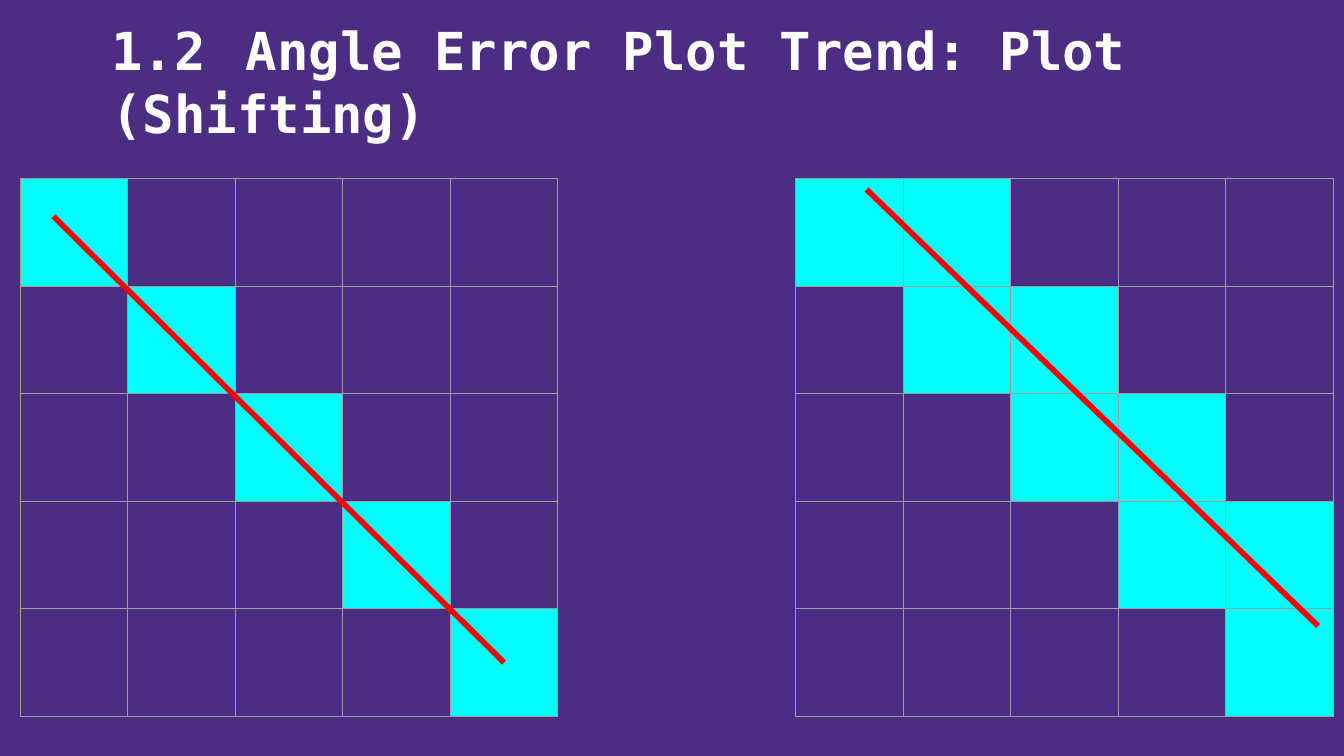
from dataclasses import dataclass

from lxml.etree import SubElement
from pptx import Presentation
from pptx.dml.color import RGBColor as Color
from pptx.enum.shapes import MSO_CONNECTOR as Connector
from pptx.enum.text import MSO_ANCHOR as Anchor, MSO_AUTO_SIZE as AutoSize, PP_ALIGN as Align
from pptx.oxml.ns import qn
from pptx.util import Inches, Pt


@dataclass(frozen=True)
class Theme:
    """Colours, type and line sizes of the slide."""

    background: str = "4B2E83"
    text: str = "FFFFFF"
    marked: str = "00FFFF"
    border: str = "9E9E9E"
    trend: str = "FF0000"
    font: str = "DejaVu Sans Mono"
    title_size: float = 28
    border_width: float = 0.75
    trend_width: float = 3


THEME = Theme()
WIDTH = 10
HEIGHT = WIDTH * 9 / 16
CELL, COUNT, GRID_TOP = 0.8, 5, 1.33


def set_title(slide, text):
    """Place the title and write it as one bold run."""
    title = slide.shapes.title
    title.left, title.top = Inches(0.73), Inches(0.31)
    title.width, title.height = Inches(8.88), Inches(0.81)
    frame = title.text_frame
    frame.word_wrap = True
    frame.auto_size = AutoSize.NONE
    frame.vertical_anchor = Anchor.BOTTOM
    paragraph = frame.paragraphs[0]
    paragraph.alignment = Align.LEFT
    run = paragraph.add_run()
    run.text = text
    run.font.name = THEME.font
    run.font.size = Pt(THEME.title_size)
    run.font.bold = True
    run.font.color.rgb = Color.from_string(THEME.text)


def add_borders(cell):
    """Draw a thin solid line on all four sides of a cell."""
    properties = cell._tc.get_or_add_tcPr()
    for side in ("a:lnL", "a:lnR", "a:lnT", "a:lnB"):
        line = SubElement(properties, qn(side), w=str(Pt(THEME.border_width)))
        fill = SubElement(line, qn("a:solidFill"))
        SubElement(fill, qn("a:srgbClr"), val=THEME.border)


def add_grid(slide, left, band):
    """Add a square table that marks `band` cells from the diagonal rightwards."""
    side = Inches(CELL * COUNT)
    frame = slide.shapes.add_table(COUNT, COUNT, Inches(left), Inches(GRID_TOP), side, side)
    table = frame.table
    table.first_row = table.horz_banding = False
    for row in range(COUNT):
        for column in range(COUNT):
            cell = table.cell(row, column)
            add_borders(cell)
            if 0 <= column - row < band:
                cell.fill.solid()
                cell.fill.fore_color.rgb = Color.from_string(THEME.marked)
            else:
                cell.fill.background()


def add_trend(slide, left, start, end):
    """Add a trend line between two points given in grid columns and rows."""
    points = [
        Inches(origin + CELL * steps)
        for point in (start, end)
        for origin, steps in zip((left, GRID_TOP), point)
    ]
    connector = slide.shapes.add_connector(Connector.STRAIGHT, *points)
    connector.line.color.rgb = Color.from_string(THEME.trend)
    connector.line.width = Pt(THEME.trend_width)
    SubElement(connector._element.spPr, qn("a:effectLst"))


def main():
    """Build the slide and save it."""
    presentation = Presentation()
    presentation.slide_width, presentation.slide_height = Inches(WIDTH), Inches(HEIGHT)
    slide = presentation.slides.add_slide(presentation.slide_layouts[5])
    slide.background.fill.solid()
    slide.background.fill.fore_color.rgb = Color.from_string(THEME.background)
    set_title(slide, "1.2\tAngle Error Plot Trend: Plot (Shifting)")
    plots = [
        (5.92, 2, (0.66, 0.1), (4.86, 4.16)),
        (0.15, 1, (0.31, 0.35), (4.5, 4.5)),
    ]
    for left, band, start, end in plots:
        add_grid(slide, left, band)
        add_trend(slide, left, start, end)
    presentation.save("out.pptx")


if __name__ == "__main__":
    main()
